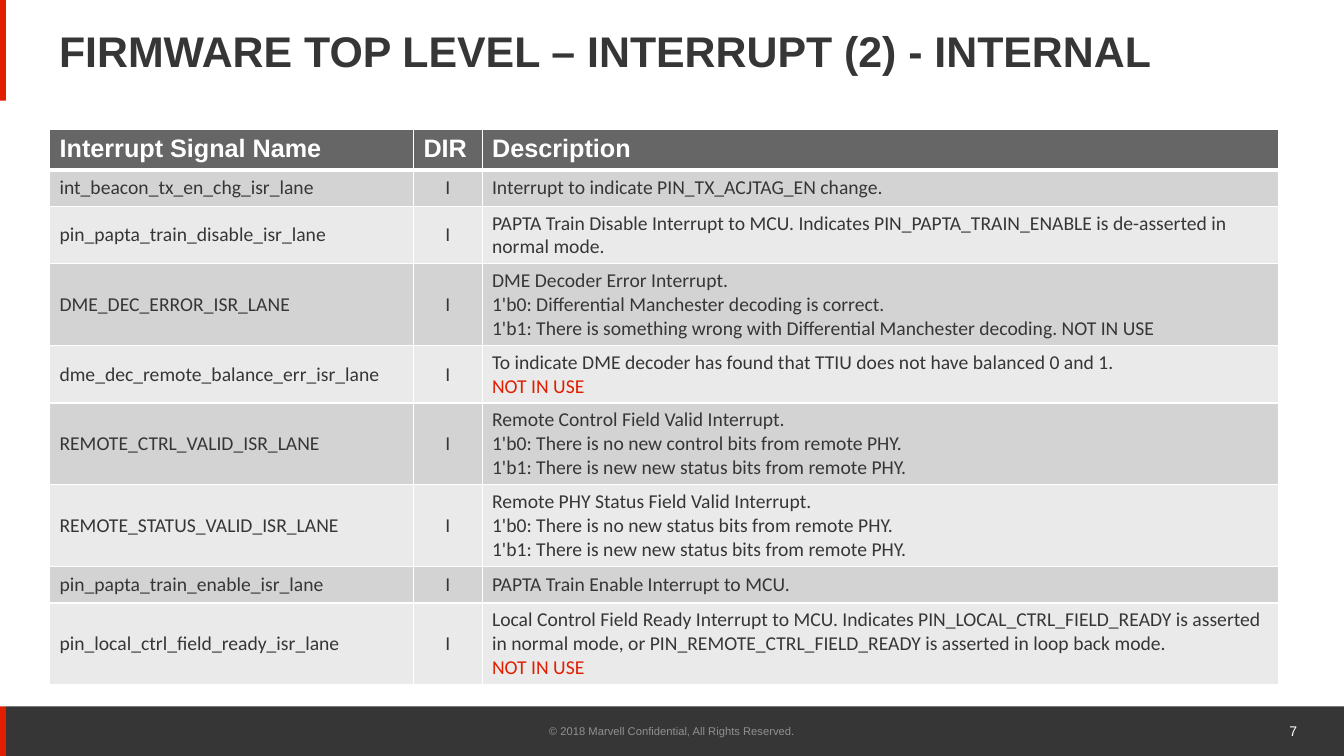
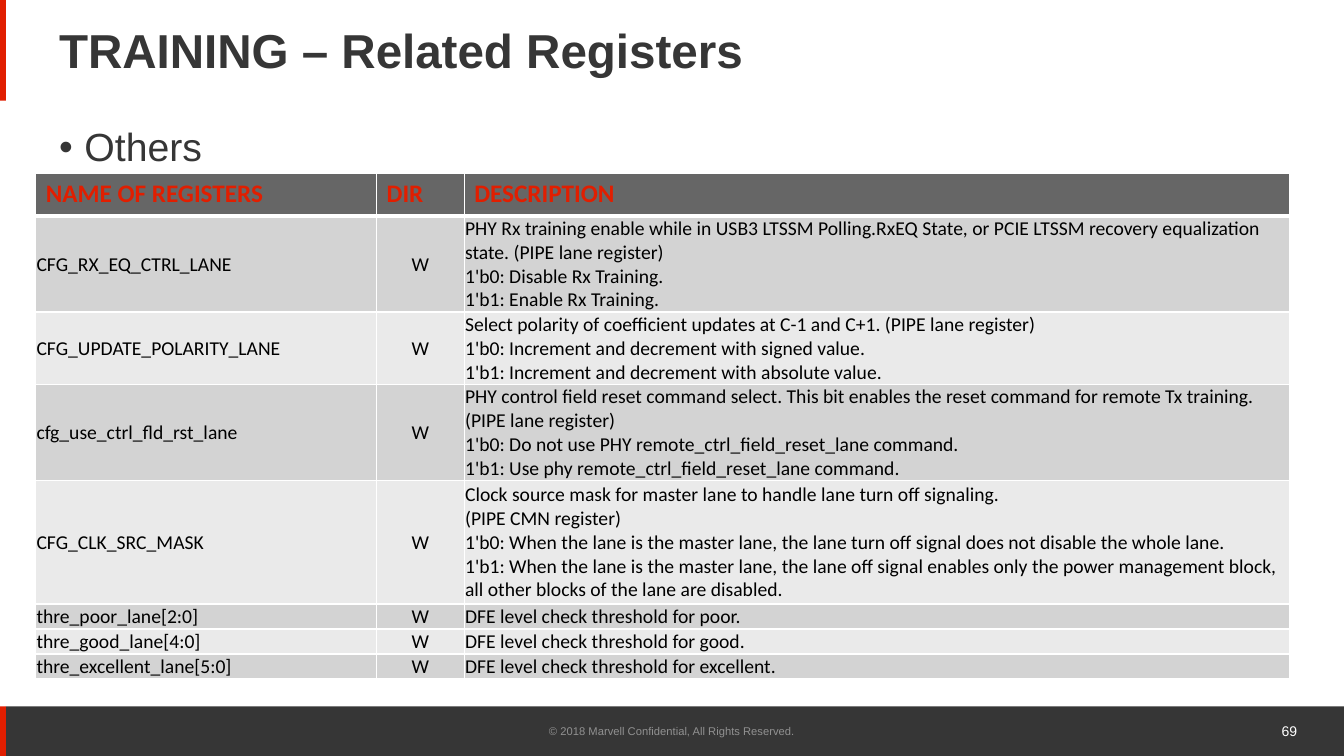
from dataclasses import dataclass

from lxml import etree
from pptx import Presentation
from pptx.dml.color import RGBColor
from pptx.enum.shapes import MSO_SHAPE
from pptx.enum.text import MSO_ANCHOR, PP_ALIGN
from pptx.oxml.ns import qn
from pptx.util import Cm, Pt

RECT = MSO_SHAPE.RECTANGLE
TOP, MIDDLE = MSO_ANCHOR.TOP, MSO_ANCHOR.MIDDLE
LEFT, CENTER, RIGHT = PP_ALIGN.LEFT, PP_ALIGN.CENTER, PP_ALIGN.RIGHT


@dataclass(frozen=True)
class Theme:
    dark: str = "363636"
    accent: str = "E11E00"
    header: str = "666666"
    bands: tuple = ("D3D3D3", "EAEAEA")
    white: str = "FFFFFF"
    black: str = "000000"
    muted: str = "919191"
    font: str = "Arial"
    cell_font: str = "Calibri"
    bullet_size: float = 28
    header_size: float = 18
    cell_size: float = 14
    number_size: float = 10
    footer_size: float = 8


@dataclass(frozen=True)
class TableStyle:
    header_font: str
    header_color: str
    text_color: str
    margins: tuple  # left, top, right, bottom in cm


T = Theme()
WIDTH, HEIGHT = 33.87, 19.05
STRIPE, FOOTER_H = 0.15, 1.25
UNUSED = "NOT IN USE"
COPYRIGHT = "© 2018 Marvell Confidential, All Rights Reserved."

INTERRUPT_STYLE = TableStyle(T.font, T.white, T.dark, (0.25, 0.13, 0.25, 0.13))
REGISTER_STYLE = TableStyle(T.cell_font, T.accent, T.black, (0.02, 0.02, 0.02, 0))

INTERRUPT_HEADER = ("Interrupt Signal Name", "DIR", "Description")
INTERRUPTS = [
    ("int_beacon_tx_en_chg_isr_lane",
     ["Interrupt to indicate PIN_TX_ACJTAG_EN change."]),
    ("pin_papta_train_disable_isr_lane",
     ["PAPTA Train Disable Interrupt to MCU. Indicates PIN_PAPTA_TRAIN_ENABLE "
      "is de-asserted in normal mode."]),
    ("DME_DEC_ERROR_ISR_LANE",
     ["DME Decoder Error Interrupt.",
      "1'b0: Differential Manchester decoding is correct.",
      "1'b1: There is something wrong with Differential Manchester decoding. "
      "NOT IN USE"]),
    ("dme_dec_remote_balance_err_isr_lane",
     ["To indicate DME decoder has found that TTIU does not have balanced 0 and 1.",
      UNUSED]),
    ("REMOTE_CTRL_VALID_ISR_LANE",
     ["Remote Control Field Valid Interrupt.",
      "1'b0: There is no new control bits from remote PHY.",
      "1'b1: There is new new status bits from remote PHY."]),
    ("REMOTE_STATUS_VALID_ISR_LANE",
     ["Remote PHY Status Field Valid Interrupt.",
      "1'b0: There is no new status bits from remote PHY.",
      "1'b1: There is new new status bits from remote PHY."]),
    ("pin_papta_train_enable_isr_lane",
     ["PAPTA Train Enable Interrupt to MCU."]),
    ("pin_local_ctrl_field_ready_isr_lane",
     ["Local Control Field Ready Interrupt to MCU. Indicates "
      "PIN_LOCAL_CTRL_FIELD_READY is asserted in normal mode, or "
      "PIN_REMOTE_CTRL_FIELD_READY is asserted in loop back mode.",
      UNUSED]),
]

REGISTER_HEADER = ("NAME OF REGISTERS", "DIR", "DESCRIPTION")
REGISTERS = [
    ("CFG_RX_EQ_CTRL_LANE",
     ["PHY Rx training enable while in USB3 LTSSM Polling.RxEQ State, or PCIE "
      "LTSSM recovery equalization state. (PIPE lane register)",
      "1'b0: Disable Rx Training.",
      "1'b1: Enable Rx Training."]),
    ("CFG_UPDATE_POLARITY_LANE",
     ["Select polarity of coefficient updates at C-1 and C+1. (PIPE lane register)",
      "1'b0: Increment and decrement with signed value.",
      "1'b1: Increment and decrement with absolute value."]),
    ("cfg_use_ctrl_fld_rst_lane",
     ["PHY control field reset command select. This bit enables the reset "
      "command for remote Tx training. (PIPE lane register)",
      "1'b0: Do not use PHY remote_ctrl_field_reset_lane command.",
      "1'b1: Use phy remote_ctrl_field_reset_lane command."]),
    ("CFG_CLK_SRC_MASK",
     ["Clock source mask for master lane to handle lane turn off signaling.",
      "(PIPE CMN register)",
      "1'b0: When the lane is the master lane, the lane turn off signal does "
      "not disable the whole lane.",
      "1'b1: When the lane is the master lane, the lane off signal enables only "
      "the power management block, all other blocks of the lane are disabled."]),
    ("thre_poor_lane[2:0]", ["DFE level check threshold for poor."]),
    ("thre_good_lane[4:0]", ["DFE level check threshold for good."]),
    ("thre_excellent_lane[5:0]", ["DFE level check threshold for excellent."]),
]


def add_run(p, text, size, color, font=T.font, bold=False):
    r = p.add_run()
    r.text = text
    r.font.size = Pt(size)
    r.font.name = font
    r.font.bold = bold
    r.font.color.rgb = RGBColor.from_string(color)


def add_text(slide, box, text, size, color, align=LEFT, anchor=MIDDLE, bold=False):
    """Place a one-paragraph text box and return its paragraph."""
    tf = slide.shapes.add_textbox(*map(Cm, box)).text_frame
    tf.word_wrap = True
    tf.vertical_anchor = anchor
    p = tf.paragraphs[0]
    p.alignment = align
    add_run(p, text, size, color, bold=bold)
    return p


def add_band(slide, box, color):
    sp = slide.shapes.add_shape(RECT, *map(Cm, box))
    sp.shadow.inherit = False
    sp.fill.solid()
    sp.fill.fore_color.rgb = RGBColor.from_string(color)
    sp.line.fill.background()


def add_title(slide, box, text, size):
    p = add_text(slide, box, text, size, T.dark, bold=True)
    p.line_spacing = 0.9


def add_footer(slide, box, number):
    left, top, width, height = box
    add_band(slide, (left + STRIPE, top, width - STRIPE, height), T.dark)
    add_band(slide, (left, top, STRIPE, height), T.accent)
    text_top, text_h = top + 0.11, 1.02
    add_text(slide, (left + 11.22, text_top, 11.43, text_h), COPYRIGHT,
             T.footer_size, T.muted, CENTER)
    add_text(slide, (left + width - 7.93, text_top, 7, text_h), str(number),
             T.number_size, T.white, RIGHT)


def add_bullet(slide, box, text):
    p = add_text(slide, box, text, T.bullet_size, T.dark, anchor=TOP)
    p.line_spacing = 0.9
    pPr = p._p.get_or_add_pPr()
    pPr.set("marL", str(Cm(0.64)))
    pPr.set("indent", str(-Cm(0.64)))
    etree.SubElement(pPr, qn("a:buFont"), typeface=T.font)
    etree.SubElement(pPr, qn("a:buChar"), char="•")


def set_borders(cell, top=1, bottom=1):
    """Draw white cell edges; widths are in points."""
    tcPr = cell._tc.get_or_add_tcPr()
    for edge, width in (("lnL", 1), ("lnR", 1), ("lnT", top), ("lnB", bottom)):
        ln = etree.SubElement(tcPr, qn(f"a:{edge}"), w=str(Pt(width)))
        fill = etree.SubElement(ln, qn("a:solidFill"))
        etree.SubElement(fill, qn("a:srgbClr"), val=T.white)


def fill_cell(cell, lines, fill, style, is_header, align):
    cell.fill.solid()
    cell.fill.fore_color.rgb = RGBColor.from_string(fill)
    if not is_header:
        cell.vertical_anchor = MIDDLE
        (cell.margin_left, cell.margin_top,
         cell.margin_right, cell.margin_bottom) = map(Cm, style.margins)
    tf = cell.text_frame
    for i, line in enumerate(lines):
        p = tf.add_paragraph() if i else tf.paragraphs[0]
        p.alignment = align
        if is_header:
            add_run(p, line, T.header_size, style.header_color,
                    style.header_font, True)
        else:
            color = T.accent if line == UNUSED else style.text_color
            add_run(p, line, T.cell_size, color, T.cell_font)


def add_signal_table(slide, origin, col_widths, row_heights, header, direction,
                     entries, style):
    rows = [[[text] for text in header]]
    rows += [[[name], [direction], lines] for name, lines in entries]
    box = (*origin, sum(col_widths), sum(row_heights))
    table = slide.shapes.add_table(len(rows), len(header), *map(Cm, box)).table
    table.first_row = table.horz_banding = False
    for column, width in zip(table.columns, col_widths):
        column.width = Cm(width)
    for row, height in zip(table.rows, row_heights):
        row.height = Cm(height)
    for i, row in enumerate(rows):
        is_header = i == 0
        fill = T.header if is_header else T.bands[(i - 1) % 2]
        for j, lines in enumerate(row):
            cell = table.cell(i, j)
            set_borders(cell, top=3 if i == 1 else 1, bottom=3 if is_header else 1)
            align = CENTER if j == 1 and not is_header else LEFT
            fill_cell(cell, lines, fill, style, is_header, align)


def add_framed_slide(prs, title, title_size, number):
    """Add a slide with the shared bands, title and footer."""
    slide = prs.slides.add_slide(prs.slide_layouts[6])
    add_band(slide, (0, 0, STRIPE, 2.54), T.accent)
    add_footer(slide, (0, HEIGHT - FOOTER_H, WIDTH, FOOTER_H), number)
    add_title(slide, (1.24, 0.43, 29.21, 1.83), title, title_size)
    return slide


def add_interrupt_slide(prs):
    slide = add_framed_slide(
        prs, "FIRMWARE TOP LEVEL – INTERRUPT (2) - INTERNAL", 30.6, 7)
    one, two, three = 0.92, 1.45, 2.06
    heights = (0.95, one, two, three, two, three, three, one, three)
    add_signal_table(slide, (1.25, 3.26), (9.17, 1.73, 20.06), heights,
                     INTERRUPT_HEADER, "I", INTERRUPTS, INTERRUPT_STYLE)


def add_register_slide(prs):
    slide = add_framed_slide(prs, "TRAINING – Related Registers", 34, 69)
    one, three, four, five = 0.63, 1.82, 2.42, 3.12
    heights = (1.06, four, three, four, five, one, one, one)
    add_signal_table(slide, (0.9, 4.38), (8.59, 2.21, 20.8), heights,
                     REGISTER_HEADER, "W", REGISTERS, REGISTER_STYLE)
    add_bullet(slide, (1.24, 3.1, 6.81, 1.52), "Others")


def main():
    prs = Presentation()
    prs.slide_width, prs.slide_height = Cm(WIDTH), Cm(HEIGHT)
    add_interrupt_slide(prs)
    add_register_slide(prs)
    prs.save("out.pptx")


if __name__ == "__main__":
    main()
